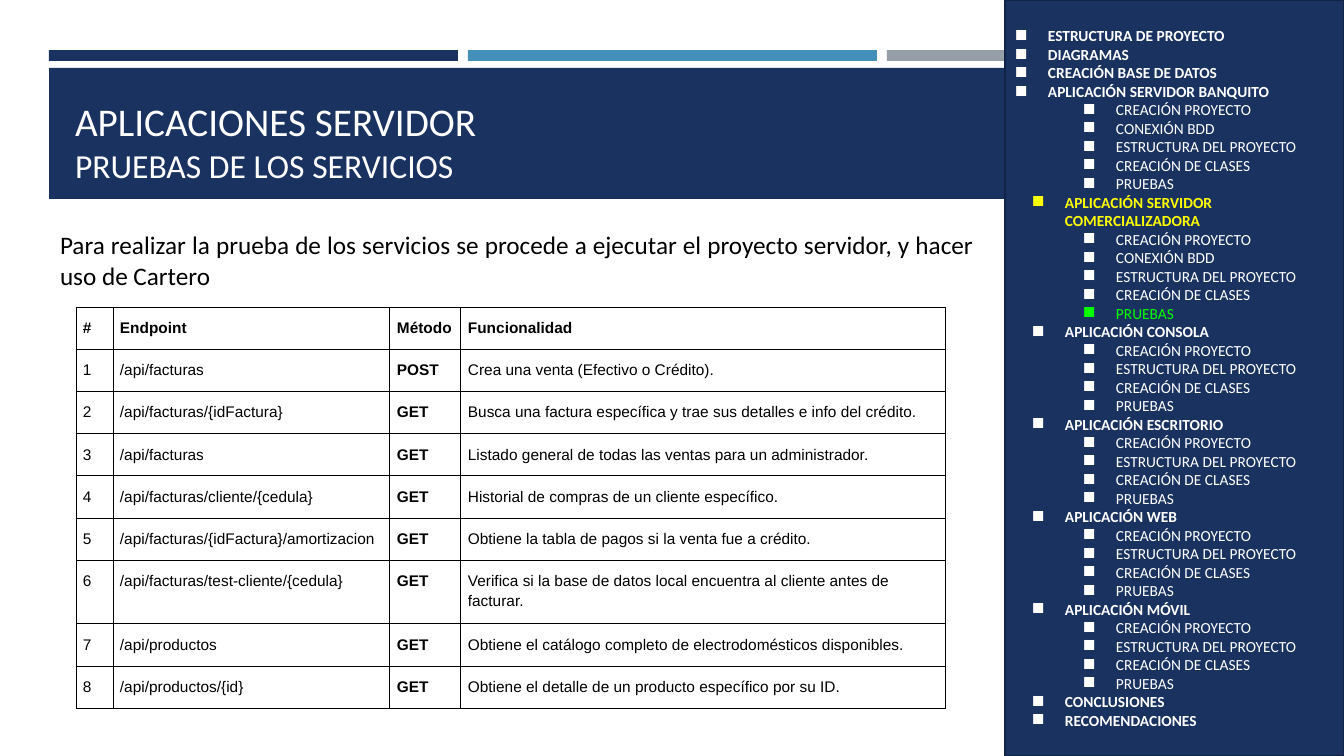
from lxml import etree
from pptx import Presentation
from pptx.dml.color import RGBColor
from pptx.enum.shapes import MSO_SHAPE
from pptx.enum.text import MSO_ANCHOR, PP_ALIGN
from pptx.oxml.ns import qn
from pptx.util import Pt

RECT = MSO_SHAPE.RECTANGLE
LEFT, JUST = PP_ALIGN.LEFT, PP_ALIGN.JUSTIFY
MIDDLE, BOTTOM = MSO_ANCHOR.MIDDLE, MSO_ANCHOR.BOTTOM
SCALE = 12192000 / 1344
NAVY, BLUE, GRAY, EDGE = "1A3260", "4590B8", "969FA7", "122446"
WHITE, BLACK, YELLOW, GREEN = "FFFFFF", "000000", "FFFF00", "00FF00"

INTRO = ("Para realizar la prueba de los servicios se procede a ejecutar "
         "el proyecto servidor, y hacer uso de Cartero")
HEAD = ("#", "Endpoint", "Método", "Funcionalidad")
CALLS = [
    ("/api/facturas", "POST", "Crea una venta (Efectivo o Crédito)."),
    ("/api/facturas/{idFactura}", "GET",
     "Busca una factura específica y trae sus detalles e info del crédito."),
    ("/api/facturas", "GET",
     "Listado general de todas las ventas para un administrador."),
    ("/api/facturas/cliente/{cedula}", "GET",
     "Historial de compras de un cliente específico."),
    ("/api/facturas/{idFactura}/amortizacion", "GET",
     "Obtiene la tabla de pagos si la venta fue a crédito."),
    ("/api/facturas/test-cliente/{cedula}", "GET",
     "Verifica si la base de datos local encuentra al cliente antes de facturar."),
    ("/api/productos", "GET",
     "Obtiene el catálogo completo de electrodomésticos disponibles."),
    ("/api/productos/{id}", "GET",
     "Obtiene el detalle de un producto específico por su ID."),
]
COLS = (37, 277, 71, 485)
ROWS = [41] * 6 + [62] + [41] * 2

CLIENT = ("CREACIÓN PROYECTO", "ESTRUCTURA DEL PROYECTO",
          "CREACIÓN DE CLASES", "PRUEBAS")
SERVER = CLIENT[:1] + ("CONEXIÓN BDD",) + CLIENT[1:]
TOP, MAIN, SUB = (33, -35), (50, -33), (101, -33)
NOW = "APLICACIÓN SERVIDOR COMERCIALIZADORA"
MENU = [
    ("ESTRUCTURA DE PROYECTO", TOP, ()),
    ("DIAGRAMAS", TOP, ()),
    ("CREACIÓN BASE DE DATOS", TOP, ()),
    ("APLICACIÓN SERVIDOR BANQUITO", TOP, SERVER),
    (NOW, MAIN, SERVER),
    ("APLICACIÓN CONSOLA", MAIN, CLIENT),
    ("APLICACIÓN ESCRITORIO", MAIN, CLIENT),
    ("APLICACIÓN WEB", MAIN, CLIENT),
    ("APLICACIÓN MÓVIL", MAIN, CLIENT),
    ("CONCLUSIONES", MAIN, ()),
    ("RECOMENDACIONES", MAIN, ()),
]


def px(n):
    return round(n * SCALE)


def rgb(color):
    return RGBColor.from_string(color)


def style(font, size, color, name="Calibri", bold=False):
    font.size, font.name, font.bold = Pt(size), name, bold
    font.color.rgb = rgb(color)


def block(slide, box, color):
    shape = slide.shapes.add_shape(RECT, *map(px, box))
    shape.shadow.inherit = False
    shape.fill.solid()
    shape.fill.fore_color.rgb = rgb(color)
    shape.line.fill.background()
    return shape


def setup(frame, anchor):
    """Wrap the text, anchor it and set the insets."""
    frame.word_wrap = True
    frame.vertical_anchor = anchor
    frame.margin_left = frame.margin_right = px(10)
    frame.margin_top = frame.margin_bottom = px(5)
    return frame


def label(slide, box, anchor):
    return setup(slide.shapes.add_textbox(*map(px, box)).text_frame, anchor)


def banner(slide, box):
    x, y, w, h = box
    for i, color in enumerate((NAVY, BLUE, GRAY)):
        block(slide, (x + i * 419, y, 409, 11), color)
    block(slide, (x, y + 18, w, h - 18), NAVY)
    para = label(slide, (x + 16, y + 28, 934, 112), BOTTOM).paragraphs[0]
    style(para.font, 28, WHITE)
    para.add_run().text = "APLICACIONES SERVIDOR"
    para.add_line_break()
    line = para.add_run()
    line.text = "PRUEBAS DE LOS SERVICIOS"
    line.font.size = Pt(24)


def intro(slide, box):
    para = label(slide, box, MIDDLE).paragraphs[0]
    para.text = INTRO
    para.alignment = JUST
    style(para.font, 18, BLACK)


def border(cell):
    props = cell._tc.get_or_add_tcPr()
    for side in ("a:lnL", "a:lnR", "a:lnT", "a:lnB"):
        line = etree.SubElement(props, qn(side), w=str(Pt(0.75)))
        fill = etree.SubElement(line, qn("a:solidFill"))
        etree.SubElement(fill, qn("a:srgbClr"), val=BLACK)


def calls(slide, x, y):
    """Table of endpoints with its corner at x, y."""
    box = (x, y, sum(COLS), sum(ROWS))
    table = slide.shapes.add_table(len(ROWS), len(COLS), *map(px, box)).table
    table.first_row = table.horz_banding = False
    for col, w in zip(table.columns, COLS):
        col.width = px(w)
    for row, h in zip(table.rows, ROWS):
        row.height = px(h)
    data = [HEAD] + [(str(n), *call) for n, call in enumerate(CALLS, 1)]
    for r, texts in enumerate(data):
        for c, text in enumerate(texts):
            cell = table.cell(r, c)
            border(cell)
            cell.fill.background()
            cell.margin_left = cell.margin_right = px(7)
            cell.margin_top, cell.margin_bottom = px(10), px(11)
            para = cell.text_frame.paragraphs[0]
            para.text = text
            para.line_spacing = 1.15
            style(para.font, 11, BLACK, "Arial", r == 0 or c == 2)


def bullet(para, indent, color):
    props = para._p.get_or_add_pPr()
    props.set("marL", str(px(indent[0])))
    props.set("indent", str(px(indent[1])))
    tint = etree.SubElement(props, qn("a:buClr"))
    etree.SubElement(tint, qn("a:srgbClr"), val=color)
    etree.SubElement(props, qn("a:buChar"), char="◼")


def menu(slide, box):
    panel = block(slide, box, NAVY)
    panel.line.color.rgb = rgb(EDGE)
    panel.line.width = Pt(1.75)
    frame = setup(panel.text_frame, MIDDLE)
    items = []
    for name, indent, parts in MENU:
        items.append((name, indent, YELLOW if name == NOW else WHITE))
        for part in parts:
            live = name == NOW and part == "PRUEBAS"
            items.append((part, SUB, GREEN if live else WHITE))
    for i, (text, indent, color) in enumerate(items):
        para = frame.add_paragraph() if i else frame.paragraphs[0]
        para.text = text
        para.alignment = LEFT
        para.level = int(indent == SUB)
        bullet(para, indent, color)
        style(para.font, 11, color, bold=indent != SUB)


def main():
    deck = Presentation()
    deck.slide_width, deck.slide_height = px(1344), px(756)
    slide = deck.slides.add_slide(deck.slide_layouts[6])
    banner(slide, (49, 50, 1246, 149))
    calls(slide, 76, 307)
    intro(slide, (50, 217, 934, 86))
    menu(slide, (1005, 0, 339, 756))
    deck.save("out.pptx")


if __name__ == "__main__":
    main()
